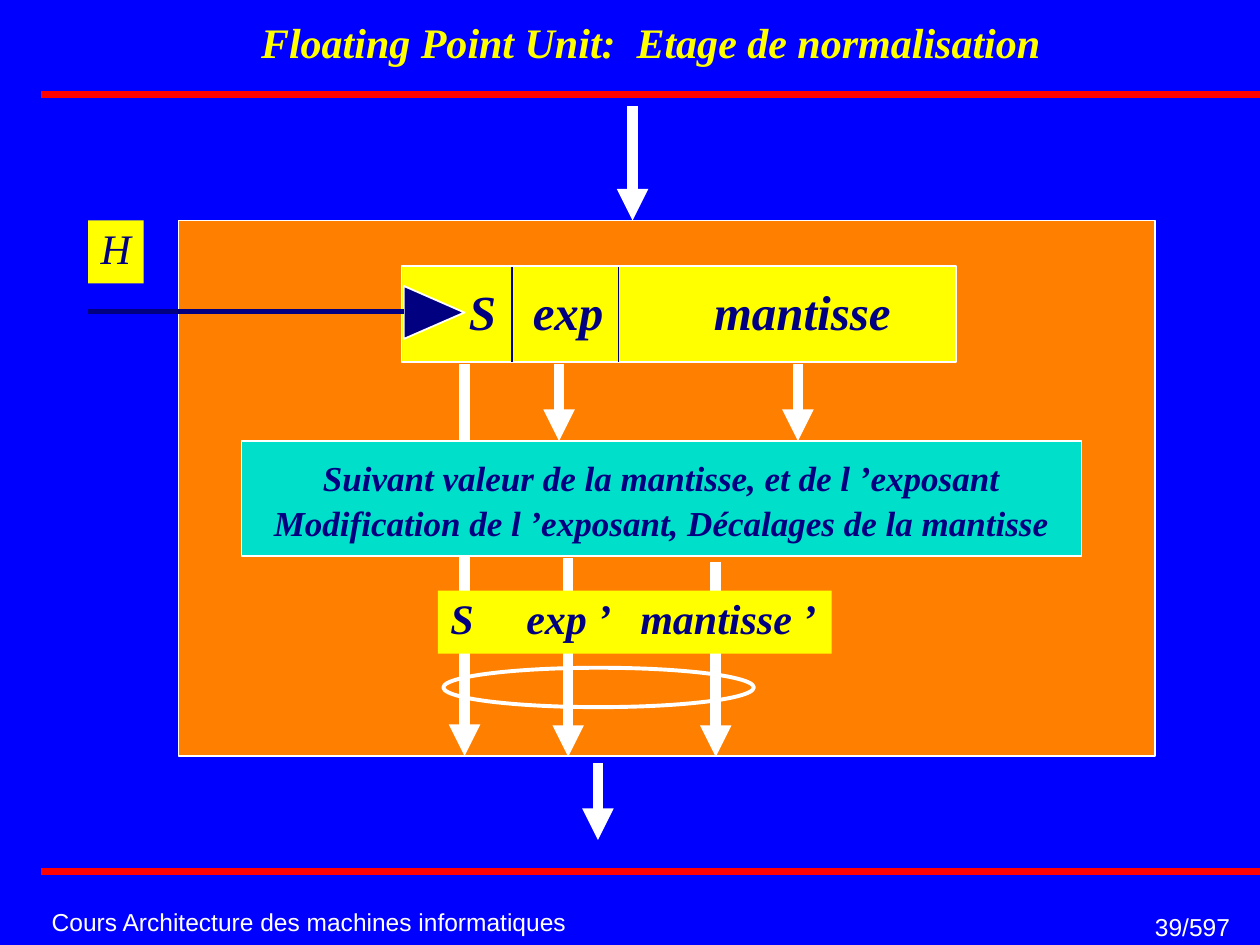
from lxml.etree import SubElement
from pptx import Presentation
from pptx.dml.color import RGBColor
from pptx.enum.shapes import MSO_CONNECTOR, MSO_SHAPE
from pptx.enum.text import MSO_ANCHOR, PP_ALIGN
from pptx.oxml.ns import qn
from pptx.util import Pt

BLUE = RGBColor(0x00, 0x00, 0xFF)
RED = RGBColor(0xFF, 0x01, 0x00)
WHITE = RGBColor(0xFF, 0xFF, 0xFF)
YELLOW = RGBColor(0xFF, 0xFF, 0x00)
ORANGE = RGBColor(0xFF, 0x7F, 0x00)
NAVY = RGBColor(0x00, 0x00, 0x80)
TEAL = RGBColor(0x00, 0xDF, 0xCA)

SERIF = {"name": "Times New Roman", "size": Pt(24), "bold": True, "italic": True}
SANS = {"name": "Arial", "size": Pt(14), "bold": False, "italic": False}


class Diagram:
    def __init__(self, slide):
        self.slide = slide
        background = slide.background.fill
        background.solid()
        background.fore_color.rgb = BLUE

    def set_text(self, shape, text, font=SERIF, color=NAVY, align=PP_ALIGN.LEFT,
                 anchor=MSO_ANCHOR.TOP, spacing=0.94, left_inset=7.2, tabs=(), wrap=True):
        frame = shape.text_frame
        frame_format = {
            "word_wrap": wrap, "vertical_anchor": anchor,
            "margin_left": Pt(left_inset), "margin_right": Pt(7.2),
            "margin_top": Pt(3.6), "margin_bottom": Pt(3.6),
        }
        for name, value in frame_format.items():
            setattr(frame, name, value)
        frame.text = text
        for paragraph in frame.paragraphs:
            paragraph.alignment = align
            paragraph.line_spacing = spacing
            if tabs:
                stops = SubElement(paragraph._p.get_or_add_pPr(), qn("a:tabLst"))
                for position in tabs:
                    SubElement(stops, qn("a:tab"), pos=str(Pt(position)), algn="l")
            for run in paragraph.runs:
                for name, value in font.items():
                    setattr(run.font, name, value)
                run.font.color.rgb = color

    def title(self, text, left, top, width, height):
        heading = self.slide.shapes.title
        place = {"left": left, "top": top, "width": width, "height": height}
        for name, value in place.items():
            setattr(heading, name, Pt(value))
        self.set_text(heading, text, color=YELLOW, align=PP_ALIGN.CENTER,
                      anchor=MSO_ANCHOR.BOTTOM)

    def label(self, text, left, top, width, height, **style):
        box = self.slide.shapes.add_textbox(Pt(left), Pt(top), Pt(width), Pt(height))
        self.set_text(box, text, **style)

    def paint(self, shape, fill, outline, weight):
        shape.shadow.inherit = False
        if fill is None:
            shape.fill.background()
        else:
            shape.fill.solid()
            shape.fill.fore_color.rgb = fill
        if outline is None:
            shape.line.fill.background()
        else:
            shape.line.color.rgb = outline
            shape.line.width = Pt(weight)

    def block(self, left, top, width, height, fill=None, outline=WHITE, weight=1,
              kind=MSO_SHAPE.RECTANGLE, text=None, **style):
        shape = self.slide.shapes.add_shape(kind, Pt(left), Pt(top), Pt(width), Pt(height))
        self.paint(shape, fill, outline, weight)
        if text:
            self.set_text(shape, text, **style)

    def polygon(self, points, fill):
        start, *others = [(Pt(x), Pt(y)) for x, y in points]
        builder = self.slide.shapes.build_freeform(*start)
        builder.add_line_segments(others, close=True)
        self.paint(builder.convert_to_shape(), fill, WHITE, 1)

    def line(self, x1, y1, x2, y2, color, weight, arrow=False):
        connector = self.slide.shapes.add_connector(
            MSO_CONNECTOR.STRAIGHT, Pt(x1), Pt(y1), Pt(x2), Pt(y2))
        connector.line.color.rgb = color
        connector.line.width = Pt(weight)
        if arrow:
            SubElement(connector.line._get_or_add_ln(), qn("a:tailEnd"), type="triangle")
        SubElement(connector._element.spPr, qn("a:effectLst"))

    def down_arrow(self, x, top, bottom):
        self.line(x, top, x, bottom, WHITE, 6, arrow=True)


def main():
    prs = Presentation()
    prs.slide_width, prs.slide_height = Pt(720), Pt(540)
    diagram = Diagram(prs.slides.add_slide(prs.slide_layouts[5]))

    for rule_y in (54, 498):
        diagram.line(23.5, rule_y, 720, rule_y, RED, 4)
    diagram.label("Cours Architecture des machines informatiques", 22.5, 517, 310, 21.6,
                  font=SANS, color=WHITE, anchor=MSO_ANCHOR.MIDDLE)
    diagram.label("39/597", 568, 517.7, 142, 23, font=SANS, color=WHITE,
                  align=PP_ALIGN.RIGHT, spacing=1.0)
    diagram.title("Floating Point Unit:  Etage de normalisation", 68.4, 7.9, 607, 34.6)

    diagram.block(102, 126, 558, 306, ORANGE)
    diagram.down_arrow(361.5, 60.5, 126)

    diagram.block(229.5, 151.8, 316.8, 55.2, YELLOW, text="S\texp\tmantisse",
                  font={**SERIF, "size": Pt(28)}, anchor=MSO_ANCHOR.MIDDLE,
                  left_inset=38.5, tabs=(36.5, 140))
    diagram.block(50.4, 126, 31.7, 36, YELLOW, None, text="H",
                  font={**SERIF, "bold": False}, wrap=False)
    diagram.polygon([(265.4, 178.6), (230.7, 193.7), (230.7, 163.4)], NAVY)
    for divider_x in (292.5, 353.5):
        diagram.line(divider_x, 152.8, divider_x, 206.8, NAVY, 1)
    diagram.line(50.4, 177.8, 230.7, 177.8, NAVY, 3)

    diagram.down_arrow(265.5, 208, 432)
    diagram.block(138, 252, 480, 65.8, TEAL,
                  text="Suivant valeur de la mantisse, et de l ’exposant\n"
                       "Modification de l ’exposant, Décalages de la mantisse",
                  font={**SERIF, "size": Pt(20)}, align=PP_ALIGN.CENTER,
                  anchor=MSO_ANCHOR.MIDDLE, spacing=1.07)
    for field_x in (319.5, 456):
        diagram.down_arrow(field_x, 208, 252)
    for result_x, result_top in ((324.7, 319), (409, 321)):
        diagram.down_arrow(result_x, result_top, 432.5)

    diagram.block(250.3, 337.5, 225, 36, YELLOW, None,
                  text="S\texp ’\tmantisse ’", tabs=(43.4, 108.5))
    diagram.down_arrow(341.7, 436, 480)
    diagram.block(253.4, 381.6, 177.4, 22.5, weight=2.25, kind=MSO_SHAPE.OVAL)

    prs.save("out.pptx")


if __name__ == "__main__":
    main()
